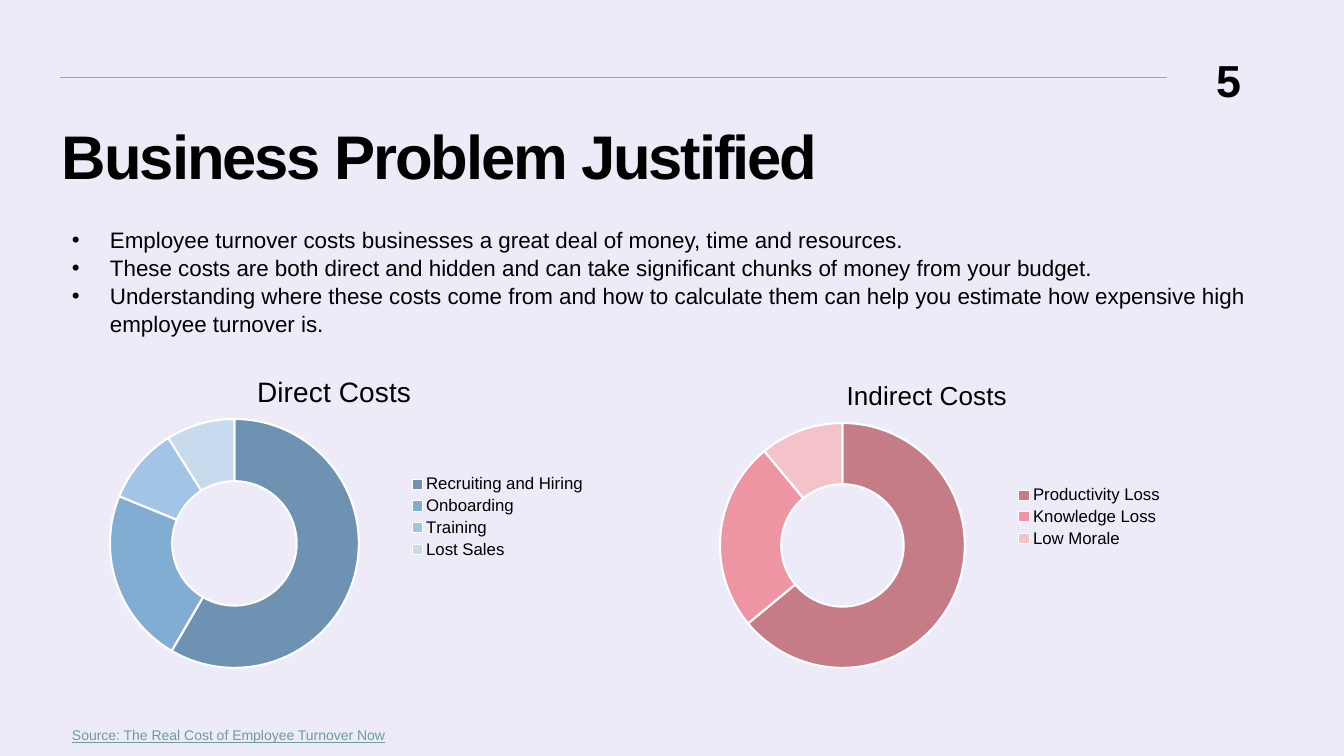
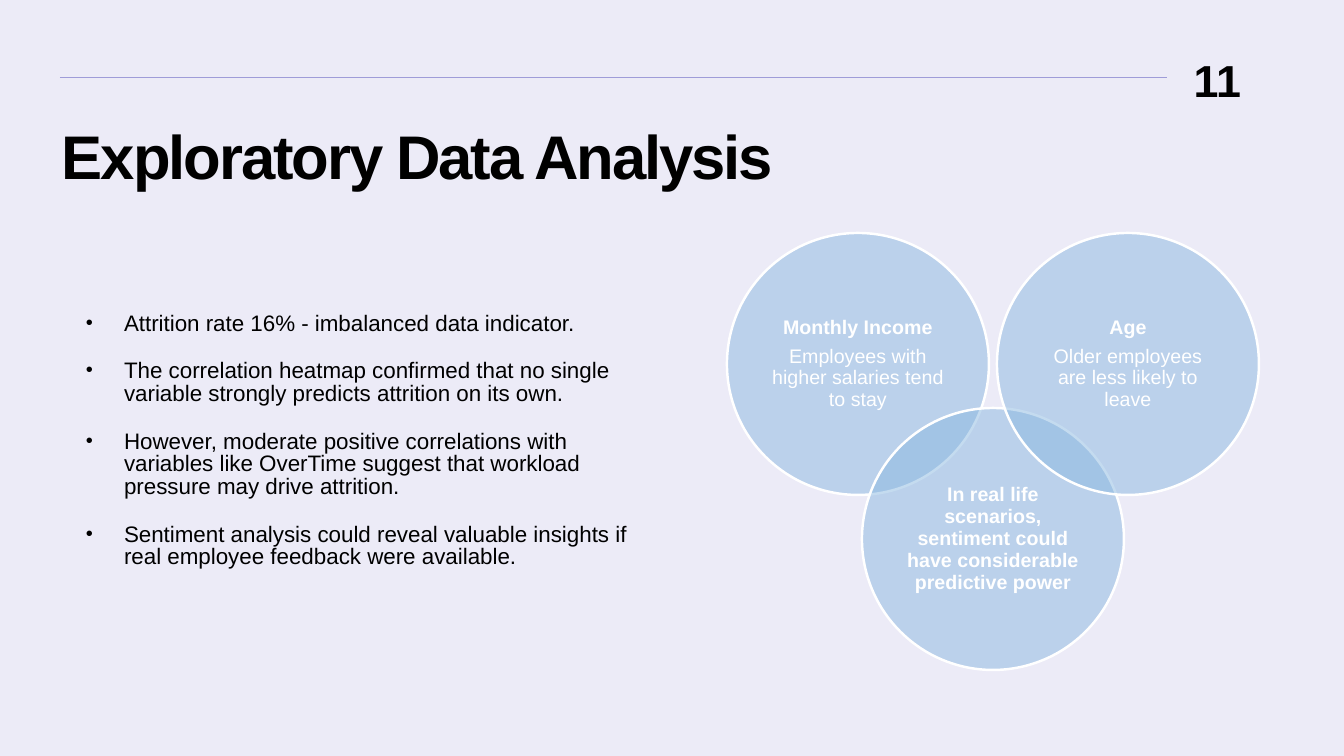
from lxml import etree
from pptx import Presentation, util as u
from pptx.chart.data import CategoryChartData
from pptx.dml.color import RGBColor
from pptx.enum import chart as ch, shapes, text
from pptx.oxml.ns import qn

PX = 914400 / 100.8
FONT = "Arial"
HEX = dict(bg="ECEBF7", rule="9F9CD8", ink="000000", white="FFFFFF",
           link="6D9D9B", bubble="8BB9E1")
ALIGN = dict(l=text.PP_ALIGN.LEFT, c=text.PP_ALIGN.CENTER, r=text.PP_ALIGN.RIGHT)

# Content: slide 1
COSTS = dict(
    title="Business Problem Justified", num="5",
    source="Source: The Real Cost of Employee Turnover Now",
    points=[
        "Employee turnover costs businesses a great deal of money, time and resources.",
        "These costs are both direct and hidden and can take significant chunks of money from your budget.",
        "Understanding where these costs come from and how to calculate them can help you estimate how expensive high employee turnover is.",
    ])
CHARTS = [
    dict(title="Direct Costs", size=20, box=(62, 352, 535, 330),
         head=(252, 369), ring=(110, 419, 249, 249),
         rows=[("Recruiting and Hiring", 59, "6E92B2"), ("Onboarding", 23, "82ADD3"),
               ("Training", 10, "A2C5E6"), ("Lost Sales", 9, "C7DAEE")]),
    dict(title="Indirect Costs", size=18.6, box=(672, 352, 502, 330),
         head=(842, 373), ring=(720, 423, 245, 245),
         rows=[("Productivity Loss", 64, "C57C86"), ("Knowledge Loss", 25, "ED95A2"),
               ("Low Morale", 11, "F3C3C9")]),
]

# Content: slide 2
STUDY = dict(
    title="Exploratory Data Analysis", num="11",
    points=[
        "Attrition rate 16% - imbalanced data indicator.",
        "The correlation heatmap confirmed that no single variable strongly predicts attrition on its own.",
        "However, moderate positive correlations with variables like OverTime suggest that workload pressure may drive attrition.",
        "Sentiment analysis could reveal valuable insights if real employee feedback were available.",
    ])
BUBBLES = [
    ["Monthly Income", "Employees with higher salaries tend to stay"],
    ["In real life scenarios, sentiment could have considerable predictive power"],
    ["Age", "Older employees are less likely to leave"],
]


def px(*vals):
    return [u.Emu(round(v * PX)) for v in vals]


def rgb(name):
    return RGBColor.from_string(HEX.get(name, name))


def write(shape, lines, size=16, color="ink", bold=False, head=False, under=False,
          align="l", anchor=text.MSO_ANCHOR.TOP, pad=(10, 5, 10, 5), lead=1.0,
          before=0, after=0, track=0, bullet=0):
    """Fill a shape with paragraphs; bullet is the bullet size in percent."""
    tf = shape.text_frame
    tf.word_wrap = True
    tf.vertical_anchor = anchor
    tf.margin_left, tf.margin_top, tf.margin_right, tf.margin_bottom = px(*pad)
    for i, line in enumerate(lines):
        p = tf.paragraphs[0] if i == 0 else tf.add_paragraph()
        p.alignment, p.line_spacing = ALIGN[align], lead
        p.space_before, p.space_after = u.Pt(before), u.Pt(after)
        run = p.add_run()
        run.text = line
        font = run.font
        font.name, font.size = FONT, u.Pt(size)
        font.bold, font.underline = bold or (head and i == 0), under
        font.color.rgb = rgb(color)
        if track:
            run._r.get_or_add_rPr().set("spc", str(track))
        if bullet:
            pr = p._p.get_or_add_pPr()
            hang = px(38)[0]
            pr.set("marL", str(hang))
            pr.set("indent", str(-hang))
            etree.SubElement(pr, qn("a:buSzPct")).set("val", str(bullet * 1000))
            etree.SubElement(pr, qn("a:buFont")).set("typeface", FONT)
            etree.SubElement(pr, qn("a:buChar")).set("char", "•")


def label(slide, box, lines, **fmt):
    write(slide.shapes.add_textbox(*px(*box)), lines, **fmt)


def base(deck, data):
    """Add a slide with background, rule, title and number."""
    slide = deck.slides.add_slide(deck.slide_layouts[6])
    fill = slide.background.fill
    fill.solid()
    fill.fore_color.rgb = rgb("bg")
    rule = slide.shapes.add_connector(shapes.MSO_CONNECTOR.STRAIGHT,
                                      *px(60, 78, 1167, 78))
    rule.line.color.rgb, rule.line.width = rgb("rule"), u.Pt(0.75)
    etree.SubElement(rule._element.spPr, qn("a:effectLst"))
    label(slide, (62, 121, 1223, 133), [data["title"]], size=44, bold=True,
          pad=(0, 5, 10, 5), lead=0.9, track=-150)
    label(slide, (1140, 57, 101, 53), [data["num"]], size=32, bold=True, align="r",
          anchor=text.MSO_ANCHOR.MIDDLE, pad=(0, 0, 0, 0), lead=0.9)
    return slide


def place(node, at, frame, box, inner=False):
    """Fix a chart part at a pixel box inside the chart frame."""
    for old in node.findall(qn("c:layout")):
        node.remove(old)
    lay = etree.Element(qn("c:layout"))
    man = etree.SubElement(lay, qn("c:manualLayout"))
    left, top, wide, high = frame
    spot = [(box[0] - left) / wide, (box[1] - top) / high]
    spot += [v / full for v, full in zip(box[2:], (wide, high))]
    tags = [("layoutTarget", "inner")] if inner else []
    tags += [("xMode", "edge"), ("yMode", "edge")]
    tags += [(key, f"{val:.4f}") for key, val in zip("xywh", spot)]
    for tag, val in tags:
        etree.SubElement(man, qn("c:" + tag)).set("val", val)
    node.insert(at, lay)


def ring(slide, data):
    names, vals, tints = zip(*data["rows"])
    feed = CategoryChartData()
    feed.categories = names
    feed.add_series("Series 1", vals)
    chart = slide.shapes.add_chart(ch.XL_CHART_TYPE.DOUGHNUT,
                                   *px(*data["box"]), feed).chart
    chart.font.name, chart.font.size = FONT, u.Pt(10)
    # Title
    chart.has_title = True
    tf = chart.chart_title.text_frame
    tf.text = data["title"]
    font = tf.paragraphs[0].runs[0].font
    font.name, font.size, font.bold = FONT, u.Pt(data["size"]), False
    font.color.rgb = rgb("ink")
    place(chart.chart_title._element, 1, data["box"], data["head"])
    # Legend
    chart.has_legend = True
    key = chart.legend
    key.position, key.include_in_layout = ch.XL_LEGEND_POSITION.RIGHT, False
    key.font.name, key.font.size = FONT, u.Pt(12)
    key.font.color.rgb = rgb("ink")
    # Ring
    plot = chart.plots[0]
    plot.vary_by_categories = True
    plot._element.find(qn("c:holeSize")).set("val", "75")
    place(chart._chartSpace.chart.plotArea, 0, data["box"], data["ring"], True)
    for i, tint in enumerate(tints):
        part = plot.series[0].points[i].format
        part.fill.solid()
        part.fill.fore_color.rgb = rgb(tint)
        part.line.color.rgb, part.line.width = rgb("white"), u.Pt(1.5)


def bubble(slide, box, lines):
    oval = slide.shapes.add_shape(shapes.MSO_SHAPE.OVAL, *px(*box))
    oval.shadow.inherit = False
    oval.fill.solid()
    oval.fill.fore_color.rgb = rgb("bubble")
    tone = oval._element.spPr.find(qn("a:solidFill")).find(qn("a:srgbClr"))
    etree.SubElement(tone, qn("a:alpha")).set("val", "50000")
    oval.line.color.rgb, oval.line.width = rgb("white"), u.Pt(1.75)
    write(oval, lines, size=14, color="white", head=True, align="c",
          anchor=text.MSO_ANCHOR.MIDDLE, pad=(6, 6, 6, 6), lead=0.93, after=5)


def main():
    deck = Presentation()
    deck.slide_width, deck.slide_height = px(1344, 756)

    # Costs
    slide = base(deck, COSTS)
    label(slide, (62, 220, 1223, 119), COSTS["points"], lead=1.04, bullet=100)
    for data in CHARTS:
        ring(slide, data)
    label(slide, (62, 722, 1029, 30), [COSTS["source"]], size=10, color="link",
          under=True)

    # Study
    slide = base(deck, STUDY)
    label(slide, (76, 308, 585, 289), STUDY["points"], lead=0.84, before=6,
          after=12, bullet=90)
    for i, lines in enumerate(BUBBLES):
        bubble(slide, (727 + 135 * i, 233 + 175 * (i % 2), 262, 262), lines)

    deck.save("out.pptx")


if __name__ == "__main__":
    main()
